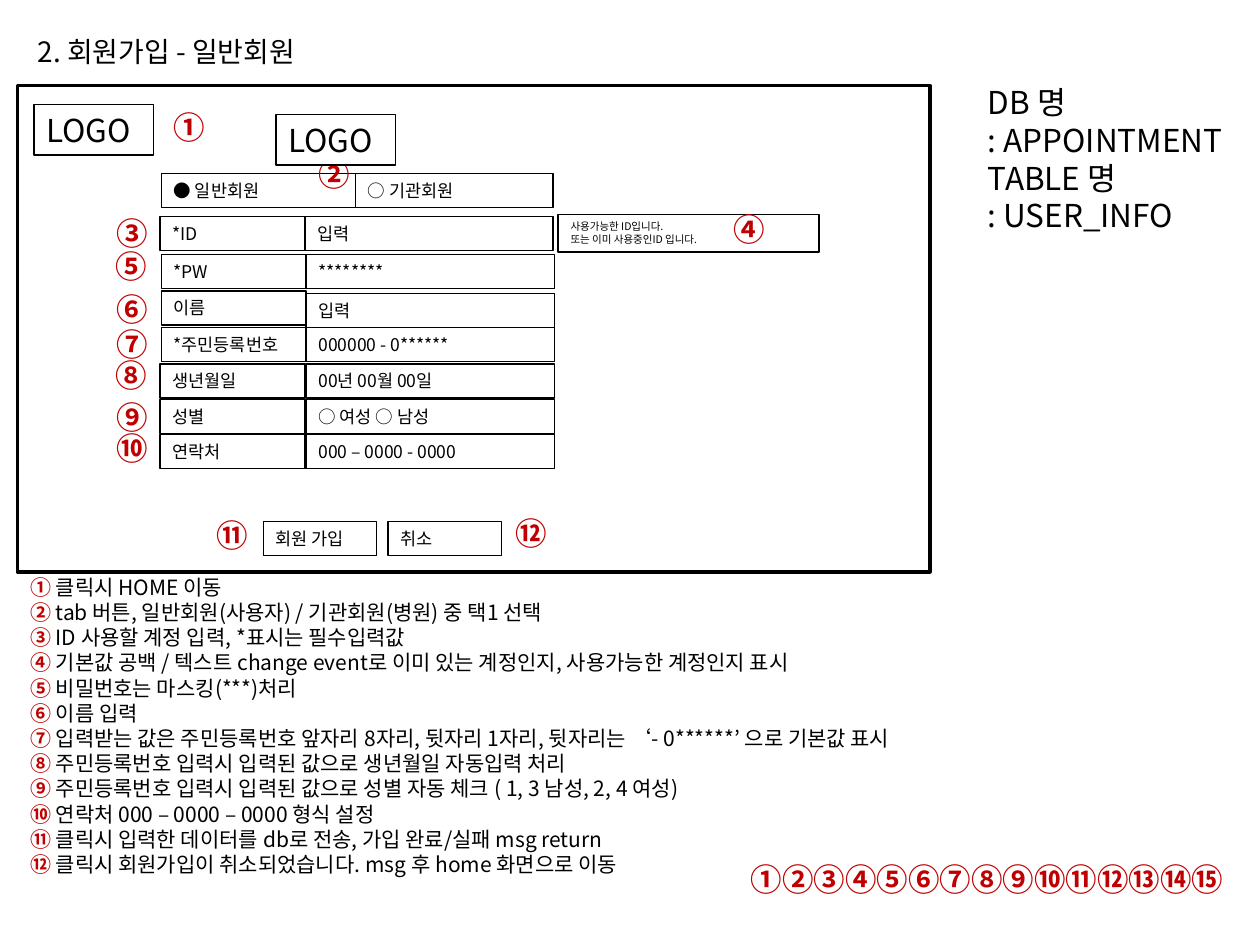
from dataclasses import dataclass
from typing import Any

from lxml import etree
from pptx import Presentation, util as u
from pptx.dml.color import RGBColor
from pptx.enum import shapes, text
from pptx.oxml.ns import qn


@dataclass(frozen=True)
class Theme:
    face: str = "Noto Sans CJK KR"
    ink: RGBColor = RGBColor(0, 0, 0)
    mark: RGBColor = RGBColor(0xC0, 0, 0)
    paper: RGBColor = RGBColor(255, 255, 255)
    title: int = 16
    big: int = 18
    note: int = 12
    field: int = 10
    hint: int = 6
    lead: float = 1.2


@dataclass(frozen=True)
class Box:
    text: str
    left: float
    top: float
    width: float
    height: float = 0.27
    size: int = 10


@dataclass(frozen=True)
class Row:
    name: str
    value: str
    left: float
    top: float
    value_left: float = 2.43
    value_top: float | None = None


@dataclass(frozen=True)
class Badge:
    num: int
    left: float
    top: float


THEME = Theme()
DIGITS = "①②③④⑤⑥⑦⑧⑨⑩⑪⑫⑬⑭⑮"

LOGO = Box("LOGO", 0.27, 0.83, 0.95, 0.4, THEME.big)
FORM_LOGO = Box("LOGO", 2.19, 0.91, 0.95, 0.4, THEME.big)
TABS = [Box("● 일반회원", 1.28, 1.38, 1.97), Box("○ 기관회원", 2.82, 1.38, 1.57)]
HINT = Box("사용가능한 ID입니다.\v또는 이미 사용중인ID 입니다.",
           4.43, 1.7, 2.07, 0.3, THEME.hint)
BUTTONS = [Box("회원 가입", 2.09, 4.14, 0.9), Box("취소", 3.08, 4.14, 0.9)]

ROWS = [
    Row("*ID", "입력", 1.27, 1.72, value_left=2.42),
    Row("*PW", "********", 1.28, 2.02),
    Row("이름", "입력", 1.28, 2.31, value_top=2.33),
    Row("*주민등록번호", "000000 - 0******", 1.28, 2.6),
    Row("생년월일", "00년 00월 00일", 1.27, 2.89),
    Row("성별", "○ 여성 ○ 남성", 1.27, 3.17),
    Row("연락처", "000 – 0000 - 0000", 1.27, 3.45),
]

BADGES = [
    Badge(1, 1.28, 0.81), Badge(2, 2.43, 1.18), Badge(3, 0.83, 1.65),
    Badge(4, 5.72, 1.62), Badge(5, 0.82, 1.91), Badge(6, 0.83, 2.25),
    Badge(7, 0.83, 2.53), Badge(8, 0.82, 2.78), Badge(9, 0.83, 3.11),
    Badge(10, 0.83, 3.36), Badge(11, 1.62, 4.05), Badge(12, 3.99, 4.03),
]

NOTES = [
    "클릭시 HOME 이동",
    "tab 버튼, 일반회원(사용자) / 기관회원(병원) 중 택1 선택",
    "ID 사용할 계정 입력, *표시는 필수입력값",
    "기본값 공백 / 텍스트 change event로 이미 있는 계정인지, 사용가능한 계정인지 표시",
    "비밀번호는 마스킹(***)처리",
    "이름 입력",
    "입력받는 값은 주민등록번호 앞자리 8자리, 뒷자리 1자리, 뒷자리는 ‘- 0******’ 으로 기본값 표시",
    "주민등록번호 입력시 입력된 값으로 생년월일 자동입력 처리",
    "주민등록번호 입력시 입력된 값으로 성별 자동 체크 ( 1, 3 남성, 2, 4 여성)",
    "연락처 000 – 0000 – 0000 형식 설정",
    "클릭시 입력한 데이터를 db로 전송, 가입 완료/실패 msg return",
    "클릭시 회원가입이 취소되었습니다. msg 후 home 화면으로 이동",
]

DB = ["DB 명", ": APPOINTMENT", "TABLE 명", ": USER_INFO"]


def place(left: float, top: float, width: float, height: float) -> list[u.Length]:
    return [u.Inches(n) for n in (left, top, width, height)]


def style(para: Any, size: int, color: RGBColor = THEME.ink, bold: bool = False) -> None:
    """Set the paragraph's font, for Latin and Korean letters alike."""
    para.alignment = text.PP_ALIGN.LEFT
    para.line_spacing = u.Pt(size * THEME.lead)
    font = para.font
    font.name, font.size, font.bold = THEME.face, u.Pt(size), bold
    font.color.rgb = color
    etree.SubElement(font._element, qn("a:ea"), typeface=THEME.face)


def add_rect(slide: Any, spot: list[u.Length], line: float) -> Any:
    rect = slide.shapes.add_shape(shapes.MSO_SHAPE.RECTANGLE, *spot)
    rect.shadow.inherit = False
    rect.fill.solid()
    rect.fill.fore_color.rgb = THEME.paper
    rect.line.color.rgb = THEME.ink
    rect.line.width = u.Pt(line)
    return rect


def add_box(slide: Any, box: Box) -> None:
    spot = place(box.left, box.top, box.width, box.height)
    frame = add_rect(slide, spot, 0.75).text_frame
    frame.word_wrap = True
    frame.vertical_anchor = text.MSO_ANCHOR.TOP
    frame.auto_size = text.MSO_AUTO_SIZE.SHAPE_TO_FIT_TEXT
    para = frame.paragraphs[0]
    para.text = box.text
    style(para, box.size)


def add_row(slide: Any, row: Row) -> None:
    add_box(slide, Box(row.name, row.left, row.top, 1.15))
    add_box(slide, Box(row.value, row.value_left, row.value_top or row.top, 1.97))


def add_text(slide: Any, spot: list[u.Length], lines: list[str], size: int,
             color: RGBColor = THEME.ink, bold: bool = False, wrap: bool = False) -> Any:
    frame = slide.shapes.add_textbox(*spot).text_frame
    frame.word_wrap = wrap
    frame.auto_size = text.MSO_AUTO_SIZE.SHAPE_TO_FIT_TEXT
    frame.text = "\n".join(lines)
    for para in frame.paragraphs:
        style(para, size, color, bold)
    return frame


def add_badge(slide: Any, badge: Badge) -> None:
    add_text(slide, place(badge.left, badge.top, 0.45, 0.4), [DIGITS[badge.num - 1]],
             THEME.big, THEME.mark, True)


def add_notes(slide: Any) -> None:
    """List the notes, each led by its red number."""
    leads = [f"{digit} " for digit, _ in zip(DIGITS, NOTES)]
    frame = add_text(slide, place(0.14, 4.51, 7.7, 2.5), leads, THEME.note, wrap=True)
    for para, note in zip(frame.paragraphs, NOTES):
        lead = para.runs[0].font
        lead.bold = True
        lead.color.rgb = THEME.mark
        para.add_run().text = note


def add_title(slide: Any) -> None:
    title = slide.shapes.title
    title.left, title.top, title.width, title.height = place(0.2, 0.21, 3.15, 0.39)
    frame = title.text_frame
    frame.text = "2. 회원가입 - 일반회원"
    frame.vertical_anchor = text.MSO_ANCHOR.MIDDLE
    style(frame.paragraphs[0], THEME.title)


def main() -> None:
    deck = Presentation()
    deck.slide_width, deck.slide_height = u.Inches(10), u.Inches(7.5)
    slide = deck.slides.add_slide(deck.slide_layouts[5])
    add_title(slide)
    add_rect(slide, place(0.14, 0.68, 7.24, 3.86), 2)
    add_notes(slide)
    add_text(slide, place(5.86, 6.78, 3.95, 0.4), [DIGITS], THEME.big, THEME.mark, True)
    for box in [LOGO, *TABS, HINT]:
        add_box(slide, box)
    for row in ROWS:
        add_row(slide, row)
    for box in BUTTONS:
        add_box(slide, box)
    for badge in BADGES:
        add_badge(slide, badge)
    add_text(slide, place(7.74, 0.61, 2.1, 1.3), DB, THEME.big)
    add_box(slide, FORM_LOGO)
    deck.save("out.pptx")


if __name__ == "__main__":
    main()
